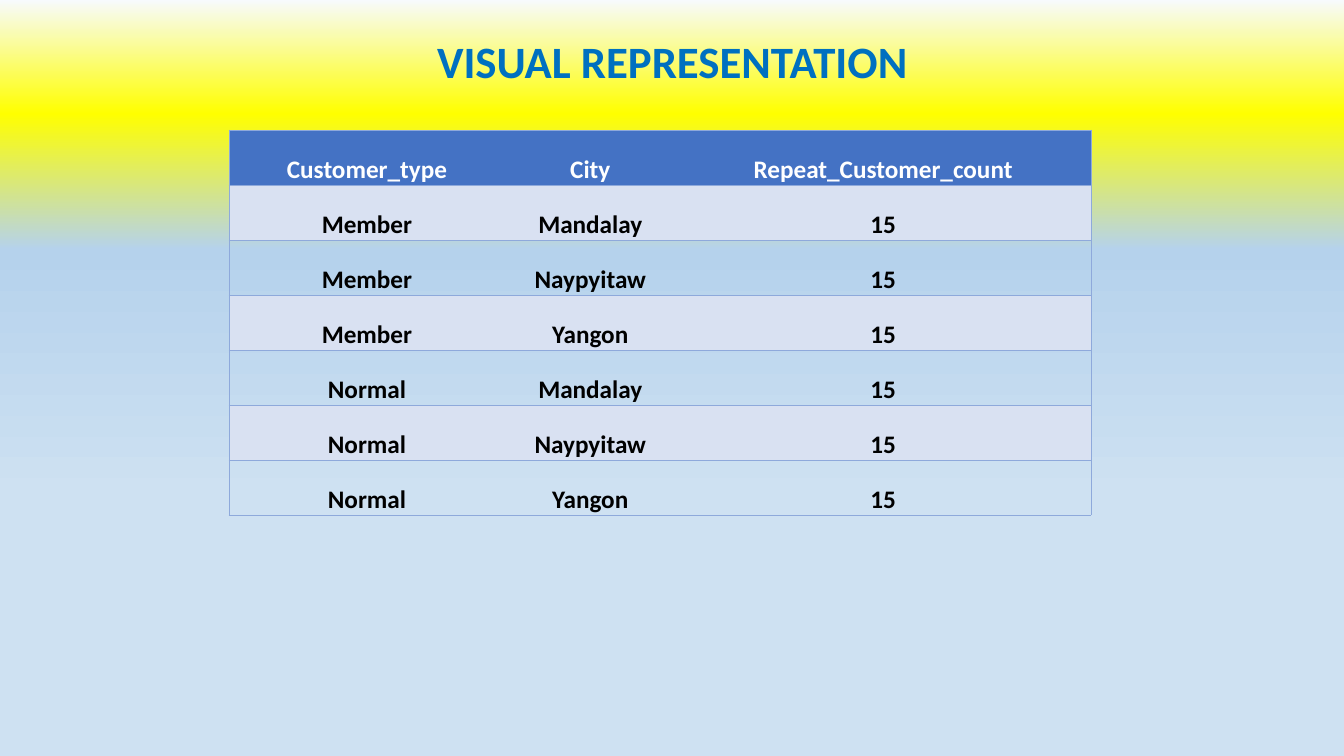
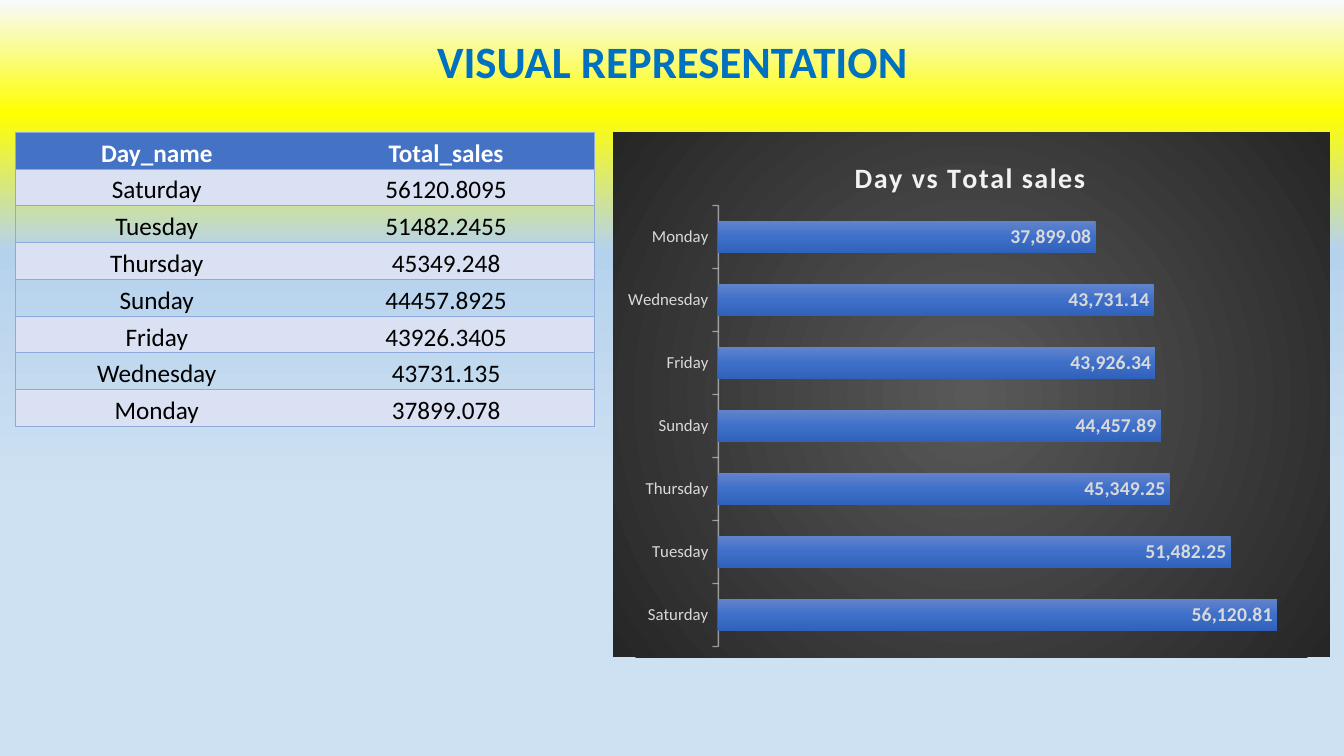
from dataclasses import dataclass

from pptx import Presentation
from pptx.chart.data import CategoryChartData
from pptx.dml.color import RGBColor
from pptx.enum.chart import XL_CHART_TYPE as ChartType
from pptx.enum.chart import XL_LABEL_POSITION as LabelPosition
from pptx.enum.chart import XL_TICK_MARK as TickMark
from pptx.enum.text import MSO_ANCHOR as Anchor
from pptx.enum.text import PP_ALIGN as Align
from pptx.oxml import parse_xml
from pptx.oxml.ns import nsdecls, qn
from pptx.util import Inches, Pt


@dataclass(frozen=True)
class Theme:
    font: str = "Calibri"
    title: str = "0070C0"
    header: str = "4472C4"
    band: str = "D9E1F2"
    border: str = "8EA9DB"
    white: str = "FFFFFF"
    black: str = "000000"
    chart_title: str = "F2F2F2"
    chart_text: str = "D9D9D9"
    sky: tuple = ((0, "F7FAFD"), (15, "FFFF00"), (33, "B5D2EC"), (66, "CEE1F2"))
    bar: tuple = ((0, "6183CB"), (50, "3E70CA"), (100, "3062BB"))
    charcoal: tuple = ((0, "595959"), (100, "262626"))
    title_size: int = 32
    chart_title_size: int = 20
    table_size: int = 18
    label_size: int = 14
    axis_size: int = 12


DOWNWARD = '<a:lin ang="5400000" scaled="0"/>'
RADIAL = ('<a:path path="circle"><a:fillToRect l="50000" t="50000" '
          'r="50000" b="50000"/></a:path>')
NO_TABLE_STYLE = "{2D5ABB26-0587-4C30-8999-92F81FD0307C}"


def gradient(stops, direction):
    stop_list = "".join(
        f'<a:gs pos="{position * 1000}"><a:srgbClr val="{color}"/></a:gs>'
        for position, color in stops)
    return parse_xml(f'<a:gradFill {nsdecls("a")} rotWithShape="1">'
                     f'<a:gsLst>{stop_list}</a:gsLst>{direction}</a:gradFill>')


def replace_fill(properties, stops, direction):
    solid = properties.find(qn("a:solidFill"))
    properties.replace(solid, gradient(stops, direction))


def set_layout(parent, index, target="", **fractions):
    for old in parent.findall(qn("c:layout")):
        parent.remove(old)
    modes = "".join(f'<c:{side}Mode val="edge"/>' for side in "xy")
    values = "".join(f'<c:{side} val="{value}"/>'
                     for side, value in fractions.items())
    parent.insert(index, parse_xml(
        f'<c:layout {nsdecls("c")}><c:manualLayout>{target}{modes}{values}'
        '</c:manualLayout></c:layout>'))


class Deck:
    def __init__(self, theme):
        self.theme = theme
        self.presentation = Presentation()
        self.presentation.slide_width = Inches(13.33)
        self.presentation.slide_height = Inches(7.5)
        self.slide = None
        master = self.presentation.slide_master
        master.background.fill.solid()
        replace_fill(master.element.xpath(".//p:bgPr")[0], theme.sky, DOWNWARD)

    def style(self, font, size, color, bold=False):
        font.name = self.theme.font
        font.size = Pt(size)
        font.bold = bold
        font.color.rgb = RGBColor.from_string(color)

    def add_run(self, paragraph, text, size, color, bold=False):
        run = paragraph.add_run()
        run.text = text
        self.style(run.font, size, color, bold)

    def add_slide(self, title):
        layout = self.presentation.slide_layouts[5]
        self.slide = self.presentation.slides.add_slide(layout)
        shape = self.slide.shapes.title
        shape.left, shape.top = Inches(0.92), Inches(0.29)
        shape.width, shape.height = Inches(11.5), Inches(0.68)
        shape.text_frame.vertical_anchor = Anchor.MIDDLE
        paragraph = shape.text_frame.paragraphs[0]
        paragraph.alignment = Align.CENTER
        paragraph.line_spacing = 0.9
        self.add_run(paragraph, title, self.theme.title_size,
                     self.theme.title, True)

    def add_table(self, rows, left, top, column_widths, height, bold_body=False):
        frame = self.slide.shapes.add_table(
            len(rows), len(column_widths), Inches(left), Inches(top),
            Inches(sum(column_widths)), Inches(height))
        frame.element.xpath(".//a:tableStyleId")[0].text = NO_TABLE_STYLE
        table = frame.table
        for column, width in zip(table.columns, column_widths):
            column.width = Inches(width)
        for row_index, row in enumerate(rows):
            for column_index, text in enumerate(row):
                self.fill_cell(table.cell(row_index, column_index), text,
                               row_index, bold_body)
        last = len(column_widths) - 1
        for index, properties in enumerate(frame.element.xpath(".//a:tcPr")):
            column_index = index % len(column_widths)
            sides = ("L" * (column_index == 0) + "R" * (column_index == last)
                     + "TB")
            self.add_borders(properties, sides)

    def fill_cell(self, cell, text, row_index, bold_body):
        is_header = row_index == 0
        if is_header or row_index % 2:
            cell.fill.solid()
            cell.fill.fore_color.rgb = RGBColor.from_string(
                self.theme.header if is_header else self.theme.band)
        else:
            cell.fill.background()
        cell.margin_left = cell.margin_right = cell.margin_top = Inches(0.01)
        cell.margin_bottom = 0
        cell.vertical_anchor = Anchor.BOTTOM
        paragraph = cell.text_frame.paragraphs[0]
        paragraph.alignment = Align.CENTER
        self.add_run(paragraph, text, self.theme.table_size,
                     self.theme.white if is_header else self.theme.black,
                     is_header or bold_body)

    def add_borders(self, properties, sides):
        for index, side in enumerate(sides):
            properties.insert(index, parse_xml(
                f'<a:ln{side} {nsdecls("a")} w="{Pt(0.5)}"><a:solidFill>'
                f'<a:srgbClr val="{self.theme.border}"/></a:solidFill>'
                f'</a:ln{side}>'))

    def add_bar_chart(self, title, values, left, top, width, height):
        theme = self.theme
        data = CategoryChartData(number_format="#,##0.00")
        data.categories = list(values)
        data.add_series("Series 1", list(values.values()))
        chart = self.slide.shapes.add_chart(
            ChartType.BAR_CLUSTERED, Inches(left), Inches(top),
            Inches(width), Inches(height), data).chart
        self.style(chart.font, theme.axis_size, theme.chart_text)
        chart.has_legend = False
        chart.has_title = True
        self.add_run(chart.chart_title.text_frame.paragraphs[0], title,
                     theme.chart_title_size, theme.chart_title, True)
        self.format_axes(chart)
        self.format_bars(chart)

        element = chart.element
        element.xpath("c:chart/c:title//a:rPr")[0].set("spc", "100")
        set_layout(element.xpath("c:chart/c:title")[0], 1, x=0.33, y=0.04)
        set_layout(element.xpath("c:chart/c:plotArea")[0], 0,
                   '<c:layoutTarget val="inner"/>',
                   x=0.147, y=0.14, w=0.833, h=0.84)
        background = parse_xml(f'<c:spPr {nsdecls("c", "a")}>'
                               '<a:ln><a:noFill/></a:ln></c:spPr>')
        background.insert(0, gradient(theme.charcoal, RADIAL))
        element.find(qn("c:txPr")).addprevious(background)

    def format_axes(self, chart):
        value_axis = chart.value_axis
        value_axis.visible = False
        value_axis.has_major_gridlines = False
        value_axis.minimum_scale = 0
        value_axis.maximum_scale = 60000
        axis = chart.category_axis
        axis.major_tick_mark = TickMark.OUTSIDE
        self.style(axis.tick_labels.font, self.theme.axis_size,
                   self.theme.chart_text)
        axis.format.line.width = Pt(1)
        axis.format.line.color.rgb = RGBColor.from_string(self.theme.chart_title)
        line_color = chart.element.xpath(".//c:catAx/c:spPr//a:srgbClr")[0]
        line_color.append(parse_xml(f'<a:alpha {nsdecls("a")} val="54000"/>'))

    def format_bars(self, chart):
        plot = chart.plots[0]
        plot.gap_width = 100
        plot.vary_by_categories = False
        series = plot.series[0]
        series.format.fill.solid()
        replace_fill(chart.element.xpath(".//c:ser/c:spPr")[0],
                     self.theme.bar, DOWNWARD)
        labels = series.data_labels
        labels.show_value = True
        labels.position = LabelPosition.INSIDE_END
        labels.number_format = "#,##0.00"
        labels.number_format_is_linked = False
        self.style(labels.font, self.theme.label_size,
                   self.theme.chart_text, True)


def main():
    heading = "VISUAL REPRESENTATION"
    deck = Deck(Theme())

    deck.add_slide(heading)
    repeat_customers = [("Customer_type", "City", "Repeat_Customer_count")]
    repeat_customers += [(customer, city, "15")
                         for customer in ("Member", "Normal")
                         for city in ("Mandalay", "Naypyitaw", "Yangon")]
    deck.add_table(repeat_customers, 2.27, 1.29, (2.74, 1.69, 4.12), 3.82,
                   bold_body=True)

    deck.add_slide(heading)
    daily_sales = [
        ("Saturday", "56120.8095", 56120.81),
        ("Tuesday", "51482.2455", 51482.25),
        ("Thursday", "45349.248", 45349.25),
        ("Sunday", "44457.8925", 44457.89),
        ("Friday", "43926.3405", 43926.34),
        ("Wednesday", "43731.135", 43731.14),
        ("Monday", "37899.078", 37899.08),
    ]
    sales_rows = [("Day_name", "Total_sales")]
    sales_rows += [(day, exact) for day, exact, _ in daily_sales]
    deck.add_table(sales_rows, 0.15, 1.31, (2.81, 2.93), 2.92)
    deck.add_bar_chart("Day vs Total sales",
                       {day: rounded for day, _, rounded in daily_sales},
                       6.08, 1.31, 7.11, 5.21)

    deck.presentation.save("out.pptx")


if __name__ == "__main__":
    main()
